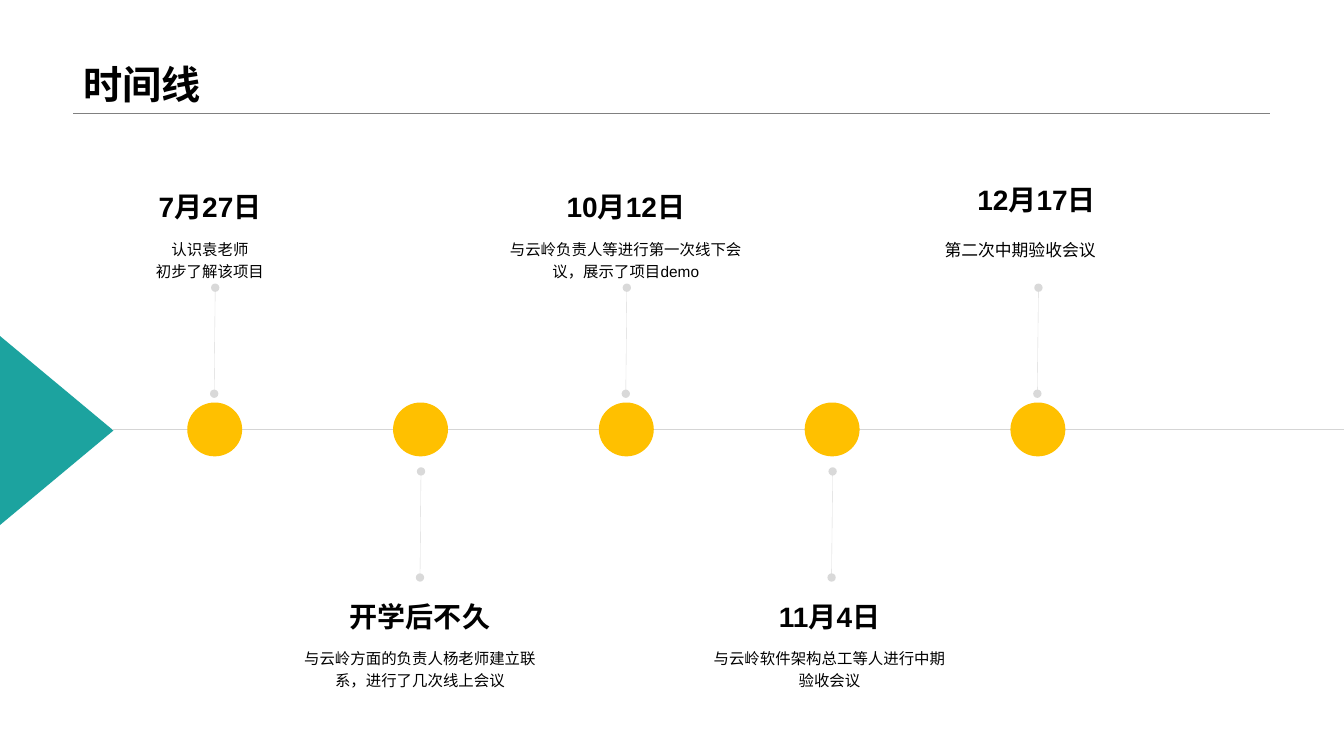
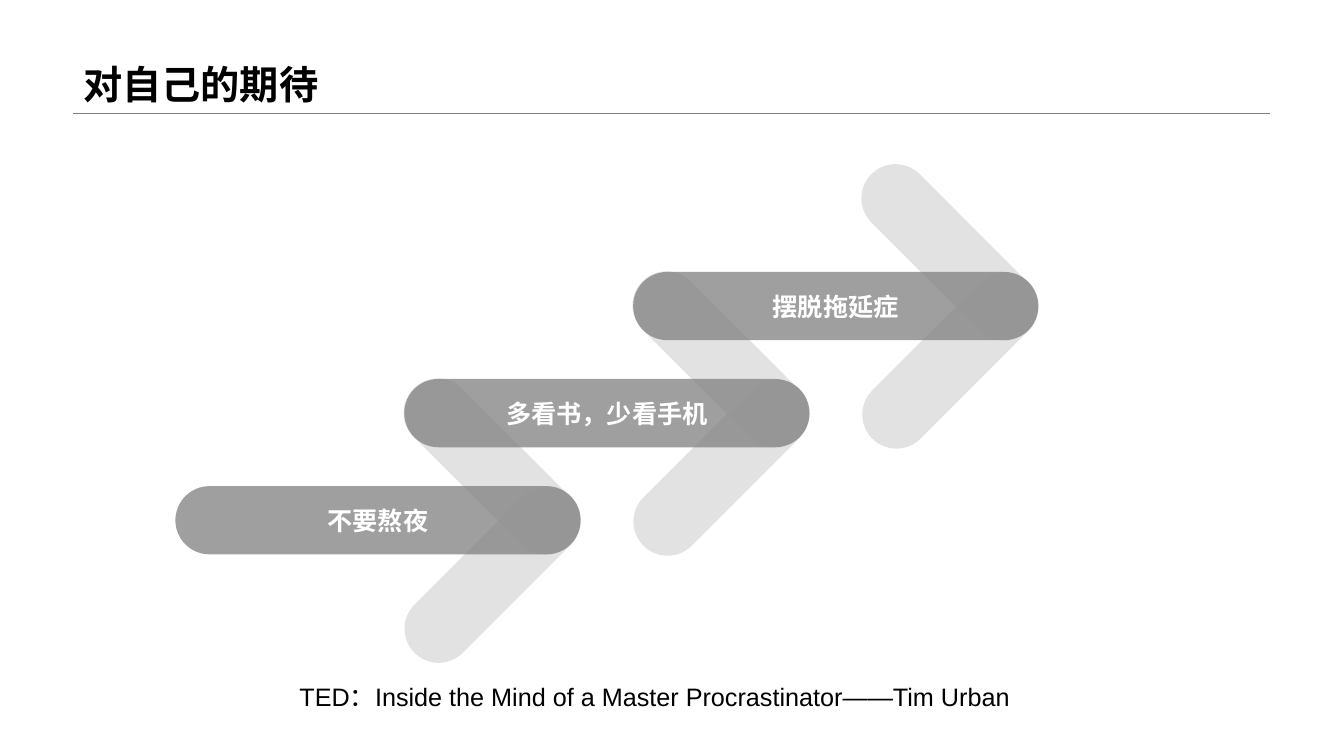
from dataclasses import dataclass

import pptx
import pptx.dml.color
import pptx.enum.shapes
import pptx.enum.text
import pptx.oxml.ns
import pptx.oxml.xmlchemy
import pptx.util
from lxml import etree
from pptx.shapes.autoshape import Shape
from pptx.shapes.connector import Connector
from pptx.slide import Slide

EMU_PER_PX = 9525
PAGE_WIDTH, PAGE_HEIGHT = 1280, 720
FONT = "Arial"
COLORS = {
    "text": "000000",
    "light_text": "FFFFFF",
    "rule": "808080",
    "pill": "808080",
    "arm": "D9D9D9",
    "stem": "D9D9D9",
    "axis": "D5D5D5",
    "pointer": "1CA39F",
    "marker": "FFC000",
}
ALIGN = pptx.enum.text.PP_ALIGN
ANCHOR = pptx.enum.text.MSO_ANCHOR
PRESET = pptx.enum.shapes.MSO_SHAPE
qn = pptx.oxml.ns.qn


@dataclass(frozen=True)
class Box:
    left: int
    top: int
    width: int
    height: int


@dataclass(frozen=True)
class Event:
    heading: str
    lines: tuple[str, ...]
    text_left: int


# Timeline content and geometry
EVENTS = (
    Event("7月27日", ("认识袁老师", "初步了解该项目"), 75),
    Event("开学后不久", ("与云岭方面的负责人杨老师建立联系，进行了几次线上会议",), 275),
    Event("10月12日", ("与云岭负责人等进行第一次线下会议，展示了项目demo",), 471),
    Event("11月4日", ("与云岭软件架构总工等人进行中期验收会议",), 665),
    Event("12月17日", ("第二次中期验收会议",), 737),
)
AXIS_Y = 409
FIRST_CENTER, EVENT_PITCH = 204, 196
MARKER_WIDTH, MARKER_HEIGHT = 51, 50

# Staircase content and geometry
GOALS = ("不要熬夜", "多看书，少看手机", "摆脱拖延症")
FIRST_PILL = Box(167, 463, 386, 65)
STEP_RIGHT, STEP_UP = 218, 102


def px(length: int) -> pptx.util.Emu:
    return pptx.util.Emu(length * EMU_PER_PX)


def rgb(name: str) -> pptx.dml.color.RGBColor:
    return pptx.dml.color.RGBColor.from_string(COLORS[name])


def write_text(shape: Shape, *lines: str, size: int, color: str = "text",
               bold: bool = False, align: ALIGN = ALIGN.CENTER,
               anchor: ANCHOR = ANCHOR.TOP, spacing: float = 1.0) -> None:
    frame = shape.text_frame
    frame.word_wrap = True
    frame.vertical_anchor = anchor
    for index, line in enumerate(lines):
        para = frame.add_paragraph() if index else frame.paragraphs[0]
        para.alignment = align
        para.line_spacing = spacing
        span = para.add_run()
        span.text = line
        span.font.size = pptx.util.Pt(size)
        span.font.bold = bold
        span.font.color.rgb = rgb(color)
        span.font.name = FONT
        east_asian = etree.SubElement(span.font._element, qn("a:ea"))
        east_asian.set("typeface", FONT)


def add_text(page: Slide, box: Box, *lines: str, **text_format) -> None:
    shape = page.shapes.add_textbox(px(box.left), px(box.top), px(box.width), px(box.height))
    write_text(shape, *lines, **text_format)


def add_shape(page: Slide, preset: PRESET, box: Box, color: str, *, rotation: int = 0,
              opacity: int = 100, outlined: bool = False) -> Shape:
    shape = page.shapes.add_shape(preset, px(box.left), px(box.top), px(box.width), px(box.height))
    shape.shadow.inherit = False
    shape.rotation = rotation
    shape.fill.solid()
    shape.fill.fore_color.rgb = rgb(color)
    if outlined:
        shape.line.color.rgb = rgb(color)
        shape.line.width = pptx.util.Pt(1)
    else:
        shape.line.fill.background()
    if opacity < 100:
        fill_color = shape._element.spPr.find(qn("a:solidFill"))[0]
        etree.SubElement(fill_color, qn("a:alpha")).set("val", str(opacity * 1000))
    return shape


def add_line(page: Slide, start: tuple[int, int], end: tuple[int, int], color: str,
             width: float, round_ends: bool = False) -> Connector:
    line = page.shapes.add_connector(
        pptx.enum.shapes.MSO_CONNECTOR.STRAIGHT, *map(px, start + end))
    line.line.color.rgb = rgb(color)
    line.line.width = pptx.util.Pt(width)
    if round_ends:
        for tag in ("a:headEnd", "a:tailEnd"):
            etree.SubElement(line.line._get_or_add_ln(), qn(tag)).set("type", "oval")
    etree.SubElement(line._element.spPr, qn("a:effectLst"))
    return line


def add_page(deck: pptx.presentation.Presentation, title: str) -> Slide:
    page = deck.slides.add_slide(deck.slide_layouts[6])
    add_line(page, (70, 108), (1210, 108), "rule", 0.25)
    add_text(page, Box(70, 0, 1140, 108), title, size=28, bold=True,
             align=ALIGN.LEFT, anchor=ANCHOR.BOTTOM, spacing=0.9)
    return page


def add_event(page: Slide, index: int, event: Event) -> None:
    center = FIRST_CENTER + index * EVENT_PITCH
    above = index % 2 == 0
    is_last = index == len(EVENTS) - 1
    add_shape(page, PRESET.OVAL,
              Box(center - MARKER_WIDTH // 2, AXIS_Y - MARKER_HEIGHT // 2,
                  MARKER_WIDTH, MARKER_HEIGHT), "marker", outlined=True)

    # Heading and description; the last event is aligned right
    top = 173 if above else 563
    if is_last:
        width, heading_height, body_height = 316, 41, 65
        heading_format = dict(align=ALIGN.RIGHT, spacing=0.9)
        body_format = dict(size=12, align=ALIGN.RIGHT, spacing=1.5)
    else:
        width, heading_height, body_height = 250, 47, 60
        heading_format = dict(anchor=ANCHOR.MIDDLE)
        body_format = dict(size=11, spacing=1.2)
    add_text(page, Box(event.text_left, top, width, heading_height), event.heading,
             size=20, bold=True, **heading_format)
    add_text(page, Box(event.text_left, top + heading_height, width, body_height),
             *event.lines, **body_format)

    # Stem between marker and text
    stem_top = 274 if above else 449
    add_line(page, (center + 1, stem_top), (center, stem_top + 101), "stem", 0.25,
             round_ends=True)


def build_timeline(deck: pptx.presentation.Presentation) -> None:
    page = add_page(deck, "时间线")
    add_shape(page, PRESET.ISOSCELES_TRIANGLE, Box(-36, 356, 180, 108), "pointer", rotation=90)
    add_line(page, (107, AXIS_Y), (PAGE_WIDTH, AXIS_Y), "axis", 1)
    for index, event in enumerate(EVENTS):
        add_event(page, index, event)


def add_goal(page: Slide, index: int, goal: str) -> None:
    left = FIRST_PILL.left + index * STEP_RIGHT
    top = FIRST_PILL.top - index * STEP_UP
    height = FIRST_PILL.height
    arms = ((Box(left + 196, top - 51, 211, height), 45),
            (Box(left + 197, top + 52, 210, height), 135))
    for box, rotation in arms:
        arm = add_shape(page, PRESET.ROUNDED_RECTANGLE, box, "arm",
                        rotation=rotation, opacity=75)
        arm.adjustments[0] = 0.5
    pill = add_shape(page, PRESET.ROUNDED_RECTANGLE,
                     Box(left, top, FIRST_PILL.width, height), "pill", opacity=75)
    pill.adjustments[0] = 0.5
    write_text(pill, goal, size=18, color="light_text", bold=True, anchor=ANCHOR.MIDDLE)


def build_goals(deck: pptx.presentation.Presentation) -> None:
    page = add_page(deck, "对自己的期待")
    for index, goal in enumerate(GOALS):
        add_goal(page, index, goal)
    add_text(page, Box(210, 644, 827, 38),
             "TED：Inside the Mind of a Master Procrastinator——Tim Urban", size=18)


def main() -> None:
    deck = pptx.Presentation()
    deck.slide_width, deck.slide_height = px(PAGE_WIDTH), px(PAGE_HEIGHT)
    build_timeline(deck)
    build_goals(deck)
    deck.save("out.pptx")


if __name__ == "__main__":
    main()
